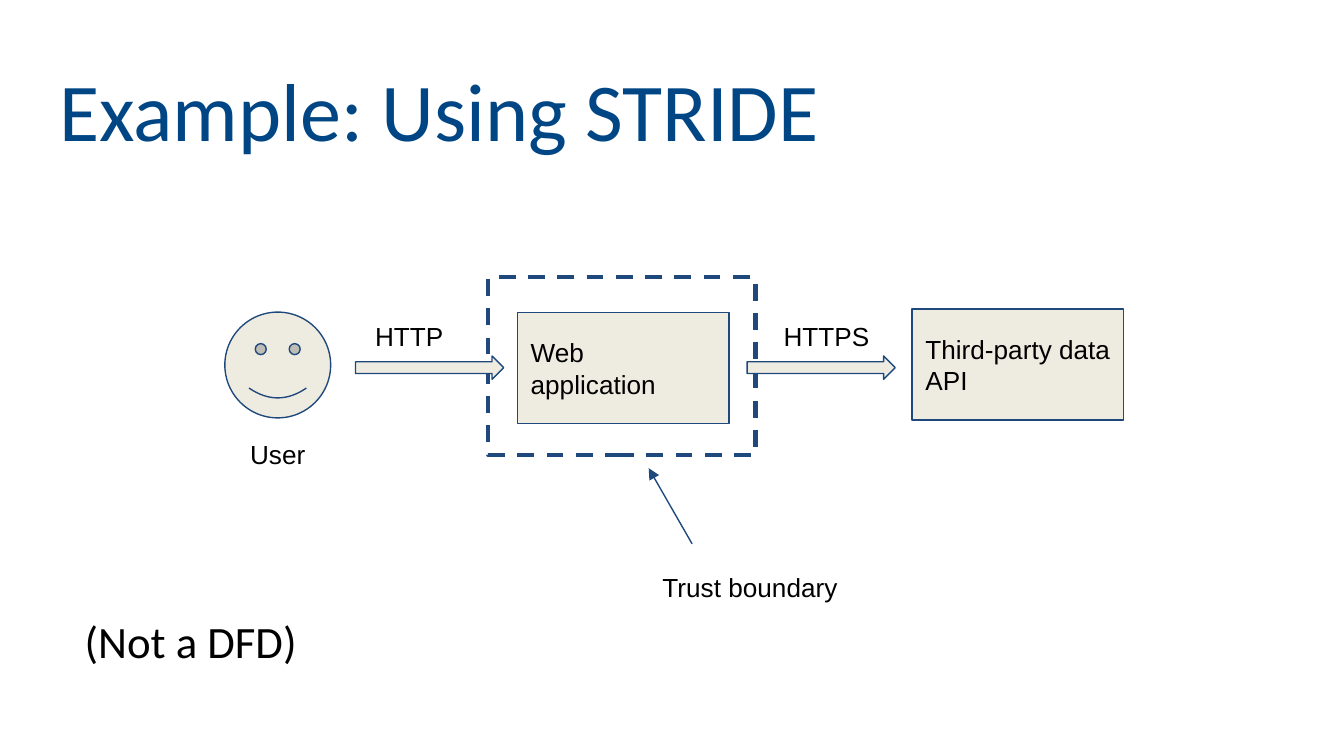
from lxml.etree import SubElement
from pptx import Presentation
from pptx.dml.color import RGBColor
from pptx.enum.dml import MSO_LINE
from pptx.enum.shapes import MSO_CONNECTOR, MSO_SHAPE
from pptx.enum.text import MSO_ANCHOR, PP_ALIGN
from pptx.oxml.ns import qn
from pptx.util import Cm, Pt

COLORS = {"title": "004685", "line": "1F497D", "fill": "EEECE1", "text": "000000"}


class Diagram:
    """Holds the style and the current slide."""

    def __init__(self, slide):
        self.s = slide

    def color(self, name):
        return RGBColor.from_string(COLORS[name])

    def set_text(self, sp, text, size=14, font="Arial", color="text",
                 align=PP_ALIGN.LEFT, anchor=MSO_ANCHOR.TOP):
        tf = sp.text_frame
        tf.word_wrap = True
        tf.vertical_anchor = anchor
        tf.margin_left = tf.margin_right = tf.margin_top = tf.margin_bottom = Cm(0.25)
        p = tf.paragraphs[0]
        p.text = text
        p.alignment = align
        p.font.size = Pt(size)
        p.font.name = font
        p.font.color.rgb = self.color(color)

    def title(self, text, x, y, w, h):
        sp = self.s.shapes.title
        sp.left, sp.top, sp.width, sp.height = Cm(x), Cm(y), Cm(w), Cm(h)
        self.set_text(sp, text, 44, "Calibri", "title", anchor=MSO_ANCHOR.MIDDLE)

    def label(self, text, x, y, w, h, **style):
        sp = self.s.shapes.add_textbox(Cm(x), Cm(y), Cm(w), Cm(h))
        self.set_text(sp, text, **style)

    def outline(self, line, width=0.75):
        line.color.rgb = self.color("line")
        line.width = Pt(width)

    def shape(self, kind, x, y, w, h):
        sp = self.s.shapes.add_shape(kind, Cm(x), Cm(y), Cm(w), Cm(h))
        sp.shadow.inherit = False
        sp.fill.solid()
        sp.fill.fore_color.rgb = self.color("fill")
        self.outline(sp.line)
        return sp

    def box(self, text, x, y):
        sp = self.shape(MSO_SHAPE.RECTANGLE, x, y, 4, 2.1)
        self.set_text(sp, text, anchor=MSO_ANCHOR.MIDDLE)

    def boundary(self, x, y, w, h):
        sp = self.shape(MSO_SHAPE.RECTANGLE, x, y, w, h)
        sp.fill.background()
        self.outline(sp.line, 2.25)
        sp.line.dash_style = MSO_LINE.DASH

    def flow(self, text, x, label_x, label_w):
        self.shape(MSO_SHAPE.RIGHT_ARROW, x, 6.73, 2.8, 0.44)
        self.label(text, label_x, 5.8, label_w, 0.86)

    def pointer(self, x1, y1, x2, y2):
        cx = self.s.shapes.add_connector(
            MSO_CONNECTOR.STRAIGHT, Cm(x1), Cm(y1), Cm(x2), Cm(y2))
        self.outline(cx.line)
        sp_pr = cx._element.spPr
        SubElement(sp_pr.find(qn("a:ln")), qn("a:tailEnd"), type="triangle")
        SubElement(sp_pr, qn("a:effectLst"))


def main():
    prs = Presentation()
    prs.slide_width, prs.slide_height = Cm(25.4), Cm(14.29)
    d = Diagram(prs.slides.add_slide(prs.slide_layouts[5]))

    # Title
    d.title("Example: Using STRIDE", 0.87, 1.25, 23.67, 1.6)

    # Trust boundary
    d.boundary(9.23, 5.24, 5.05, 3.36)

    # User, application and API
    d.shape(MSO_SHAPE.SMILEY_FACE, 4.25, 5.9, 2, 2)
    d.label("User", 4.15, 8.03, 2.2, 1.3, align=PP_ALIGN.CENTER)
    d.box("Web application", 9.78, 5.91)
    d.box("Third-party data API", 17.24, 5.84)

    # Data flows
    d.flow("HTTP", 6.72, 6.84, 2.2)
    d.flow("HTTPS", 14.12, 14.56, 2.44)

    # Notes on the diagram
    d.pointer(13.08, 10.28, 12.26, 8.85)
    d.label("Trust boundary", 12.27, 10.55, 4.45, 1.3)
    d.label("(Not a DFD)", 1.35, 11.36, 5.4, 1.75, size=24, font="Calibri")

    prs.save("out.pptx")


if __name__ == "__main__":
    main()
